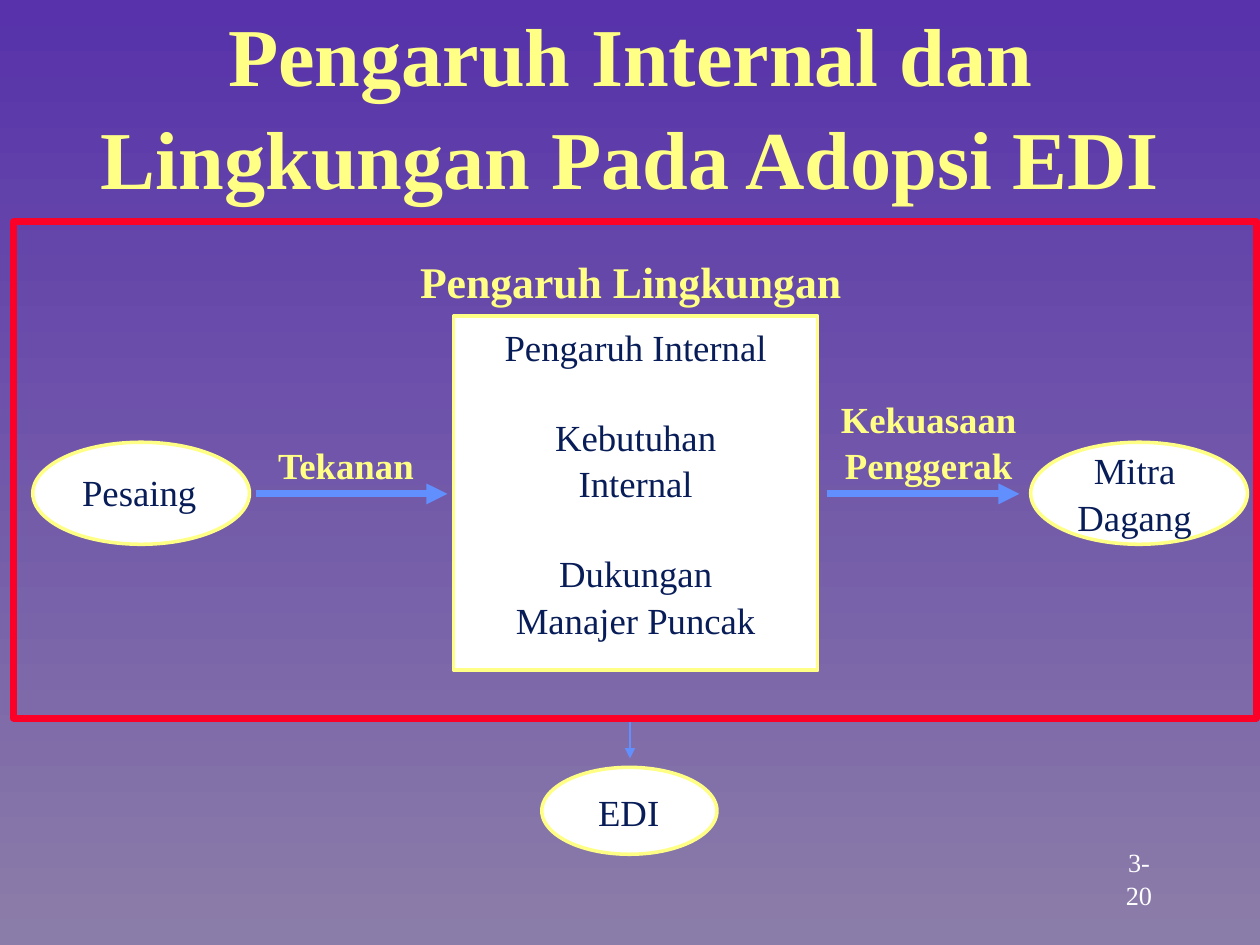
from lxml.etree import SubElement
from pptx import Presentation
from pptx.dml.color import RGBColor
from pptx.enum.shapes import MSO_CONNECTOR, MSO_SHAPE
from pptx.enum.text import MSO_ANCHOR as Anchor, PP_ALIGN as Align
from pptx.oxml.ns import qn
from pptx.util import Inches, Pt

VIOLET = RGBColor(0x57, 0x32, 0xAA)
MAUVE = RGBColor(0x8B, 0x7D, 0xA9)
YELLOW = RGBColor(0xFF, 0xFF, 0x85)
WHITE = RGBColor(0xFF, 0xFF, 0xFF)
NAVY = RGBColor(0x08, 0x1D, 0x58)
BLUE = RGBColor(0x61, 0x8F, 0xFD)
RED = RGBColor(0xFC, 0x01, 0x28)


class DiagramSlide:
    font_name = "Times New Roman"
    line_spacing = 1.05

    def __init__(self, slide):
        self.slide = slide

    def background(self, top_color, bottom_color):
        fill = self.slide.background.fill
        fill.gradient()
        fill.gradient_angle = 270
        for stop, color, position in zip(fill.gradient_stops,
                                         (top_color, bottom_color), (0, 1)):
            stop.color.rgb = color
            stop.position = position

    def set_text(self, frame, lines, size, color, bold, align=Align.CENTER):
        frame.text = "\n".join(lines)
        for paragraph in frame.paragraphs:
            paragraph.alignment = align
            paragraph.line_spacing = self.line_spacing
            font = paragraph.font
            font.name, font.size, font.bold = self.font_name, Pt(size), bold
            font.color.rgb = color

    def title(self, text, left, top, width, height):
        shape = self.slide.shapes.title
        shape.left, shape.top = Inches(left), Inches(top)
        shape.width, shape.height = Inches(width), Inches(height)
        shape.text_frame.vertical_anchor = Anchor.MIDDLE
        self.set_text(shape.text_frame, [text], 47, YELLOW, True)

    def label(self, lines, left, top, width, height, size=21, color=NAVY,
              bold=False, align=Align.CENTER, wrap=True, anchor=Anchor.TOP):
        box = self.slide.shapes.add_textbox(
            Inches(left), Inches(top), Inches(width), Inches(height))
        frame = box.text_frame
        frame.word_wrap = wrap
        frame.vertical_anchor = anchor
        self.set_text(frame, lines, size, color, bold, align)
        return frame

    def box(self, kind, left, top, width, height, fill=WHITE, line=YELLOW, weight=2):
        shape = self.slide.shapes.add_shape(
            kind, Inches(left), Inches(top), Inches(width), Inches(height))
        shape.shadow.inherit = False
        if fill is None:
            shape.fill.background()
        else:
            shape.fill.solid()
            shape.fill.fore_color.rgb = fill
        shape.line.color.rgb = line
        shape.line.width = Pt(weight)

    def arrow(self, x1, y1, x2, y2, weight):
        connector = self.slide.shapes.add_connector(
            MSO_CONNECTOR.STRAIGHT, Inches(x1), Inches(y1), Inches(x2), Inches(y2))
        connector.line.color.rgb = BLUE
        connector.line.width = Pt(weight)
        properties = connector._element.spPr
        SubElement(properties.find(qn("a:ln")), qn("a:tailEnd"), type="triangle")
        SubElement(properties, qn("a:effectLst"))


def main():
    presentation = Presentation()
    presentation.slide_width, presentation.slide_height = Inches(10), Inches(7.5)
    diagram = DiagramSlide(presentation.slides.add_slide(presentation.slide_layouts[5]))
    diagram.background(VIOLET, MAUVE)
    diagram.title("Pengaruh Internal dan Lingkungan Pada Adopsi EDI",
                  0.11, 0.15, 9.79, 1.33)

    # Competitor, trading partner and EDI ovals around the internal box
    for oval in ((0.26, 3.51, 1.72, 0.81), (8.18, 3.51, 1.72, 0.81),
                 (4.3, 6.09, 1.39, 0.69)):
        diagram.box(MSO_SHAPE.OVAL, *oval)
    diagram.box(MSO_SHAPE.RECTANGLE, 3.6, 2.51, 2.89, 2.81)

    # Arrows
    diagram.arrow(2.03, 3.92, 3.55, 3.92, 4)
    diagram.arrow(6.56, 3.92, 8.09, 3.92, 4)
    diagram.arrow(5, 5.7, 5, 6.02, 1)

    # Environment frame
    diagram.box(MSO_SHAPE.RECTANGLE, 0.11, 1.76, 9.86, 3.94,
                fill=None, line=RED, weight=4)

    # Headings and arrow labels
    heading = {"color": YELLOW, "bold": True}
    diagram.label(["Pengaruh Lingkungan"], 0.11, 1.95, 9.79, 0.52, size=25, **heading)
    diagram.label(["Tekanan"], 2.11, 3.45, 1.29, 0.46,
                  align=Align.LEFT, wrap=False, **heading)
    diagram.label(["Kekuasaan", "Penggerak"], 6.56, 3.08, 1.62, 0.81,
                  wrap=False, **heading)

    # Internal influences, with a line of space before each group
    internal = diagram.label(
        ["Pengaruh Internal", "Kebutuhan", "Internal", "Dukungan", "Manajer Puncak"],
        3.6, 2.51, 2.89, 2.58)
    for group_start in (1, 3):
        internal.paragraphs[group_start].space_before = Pt(25)

    # Oval labels
    diagram.label(["Pesaing"], 0.31, 3.66, 1.59, 0.46)
    diagram.label(["Mitra", "Dagang"], 8.44, 3.49, 1.13, 0.81, wrap=False)
    diagram.label(["EDI"], 4.36, 6.2, 1.26, 0.44)

    # Page number
    diagram.label(["3-20"], 8.76, 6.8, 0.56, 0.33, size=15, color=WHITE,
                  anchor=Anchor.MIDDLE)
    presentation.save("out.pptx")


if __name__ == "__main__":
    main()
